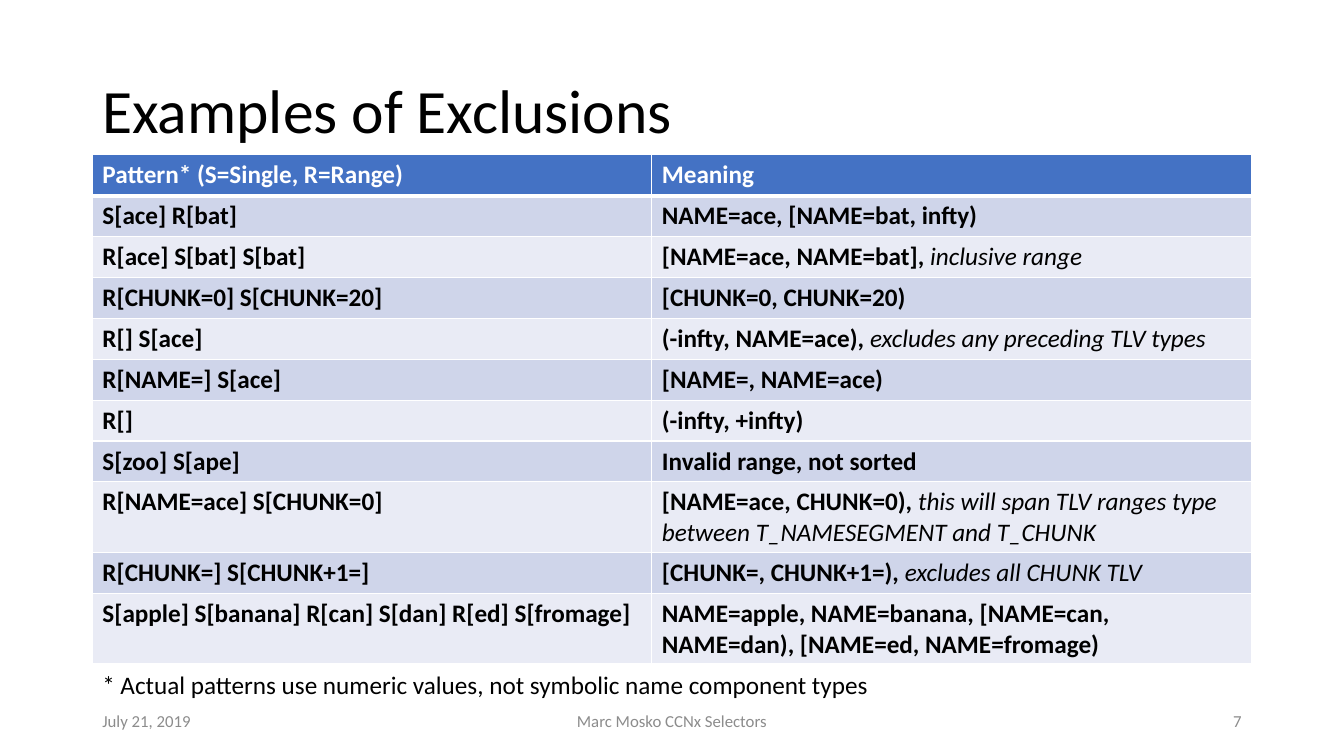
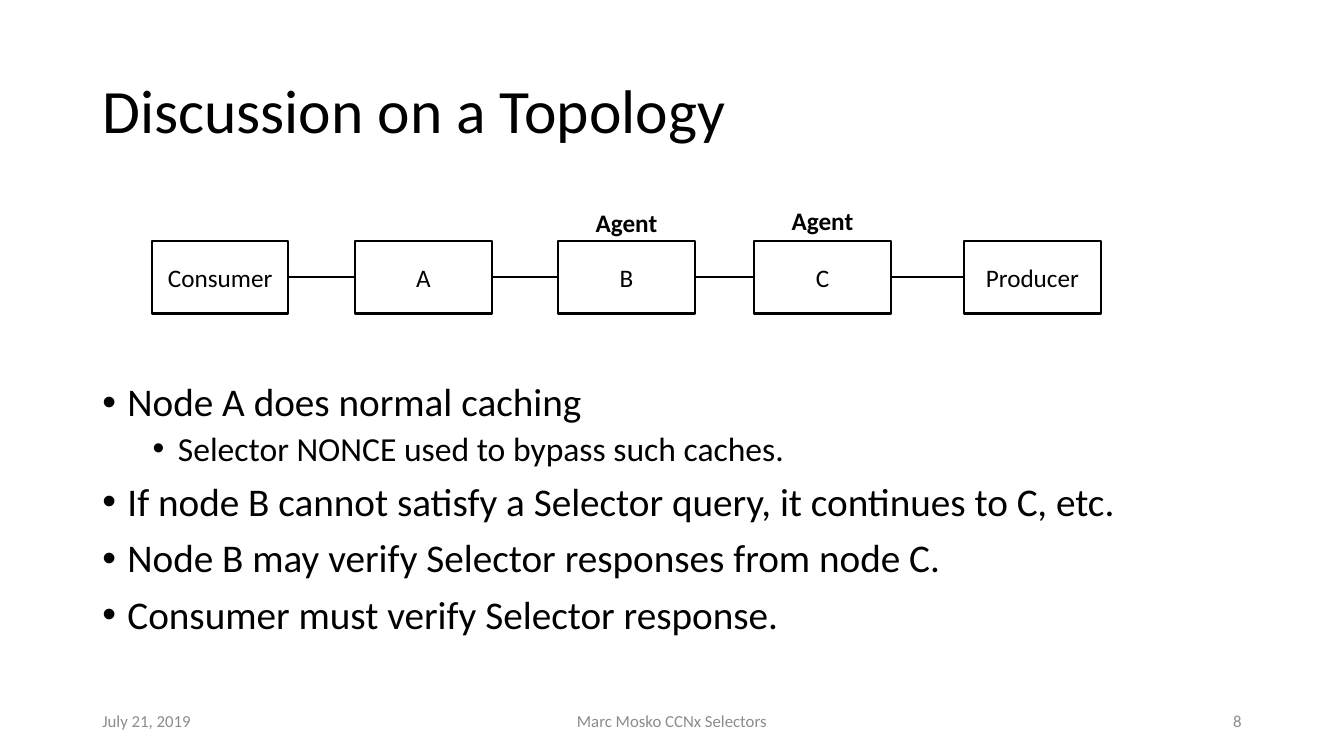
from dataclasses import dataclass

from lxml.etree import SubElement
from pptx import Presentation
from pptx.dml.color import RGBColor
from pptx.enum.shapes import MSO_CONNECTOR as Connector, MSO_SHAPE as Shape
from pptx.enum.text import MSO_ANCHOR as Anchor, PP_ALIGN as Align
from pptx.oxml.ns import qn
from pptx.util import Pt

COLORS = {
    "text": "000000",
    "footer": "8C8C8C",
    "header": "4472C4",
    "odd_row": "CFD5EA",
    "even_row": "E9EBF5",
    "white": "FFFFFF",
}
FONT = "Calibri"
AUTHOR = "Marc Mosko CCNx Selectors"
DATE = "July 21, 2019"

EXCLUSIONS = [
    ("Pattern* (S=Single, R=Range)", "Meaning", ""),
    ("S[ace] R[bat]", "NAME=ace, [NAME=bat, infty)", ""),
    ("R[ace] S[bat] S[bat]", "[NAME=ace, NAME=bat], ", "inclusive range"),
    ("R[CHUNK=0] S[CHUNK=20]", "[CHUNK=0, CHUNK=20)", ""),
    ("R[] S[ace]", "(-infty, NAME=ace), ", "excludes any preceding TLV types"),
    ("R[NAME=] S[ace]", "[NAME=, NAME=ace)", ""),
    ("R[]", "(-infty, +infty)", ""),
    ("S[zoo] S[ape]", "Invalid range, not sorted", ""),
    ("R[NAME=ace] S[CHUNK=0]", "[NAME=ace, CHUNK=0), ",
     "this will span TLV ranges type between T_NAMESEGMENT and T_CHUNK"),
    ("R[CHUNK=] S[CHUNK+1=]", "[CHUNK=, CHUNK+1=), ", "excludes all CHUNK TLV"),
    ("S[apple] S[banana] R[can] S[dan] R[ed] S[fromage]",
     "NAME=apple, NAME=banana, [NAME=can, NAME=dan), [NAME=ed, NAME=fromage)", ""),
]
TWO_LINE_ROWS = (8, 10)

NODES = [
    ("Consumer", 0, None),
    ("A", 145.2, None),
    ("B", 290.2, 27.4),
    ("C", 430.2, 28.8),
    ("Producer", 580.2, None),
]

POINTS = [
    (0, "Node A does normal caching"),
    (1, "Selector NONCE used to bypass such caches."),
    (0, "If node B cannot satisfy a Selector query, it continues to C, etc."),
    (0, "Node B may verify Selector responses from node C."),
    (0, "Consumer must verify Selector response."),
]


@dataclass
class Box:
    """A rectangle in points."""
    left: float
    top: float
    width: float
    height: float

    def lengths(self):
        """Return the four measures as lengths."""
        return [Pt(v) for v in (self.left, self.top, self.width, self.height)]


TITLE = Box(66, 28.8, 828, 104.4)
FOOTER = Box(66, 500.4, 828, 28.8)
TABLE = Box(66, 110.6, 828, 363.6)
FOOTNOTE = Box(66, 474.4, 564.5, 29)
TOPOLOGY = Box(108.6, 172, 677.6, 52)
BODY = Box(66, 270, 828, 196.6)


def rgb(name):
    """Look up a named colour."""
    return RGBColor.from_string(COLORS[name])


def style(run, size, color="text", bold=False, italic=False):
    """Set the font of a run."""
    font = run.font
    font.name, font.size, font.bold, font.italic = FONT, Pt(size), bold, italic
    font.color.rgb = rgb(color)


def write(frame, text, size, color="text", bold=False, align=Align.LEFT,
          anchor=Anchor.TOP, wrap=True):
    """Fill a text frame with one styled paragraph and return it."""
    frame.text = text
    frame.word_wrap = wrap
    frame.vertical_anchor = anchor
    paragraph = frame.paragraphs[0]
    paragraph.alignment = align
    style(paragraph.runs[0], size, color, bold)
    return paragraph


def add_text(slide, box, text, size, **options):
    """Add a text box holding one paragraph."""
    frame = slide.shapes.add_textbox(*box.lengths()).text_frame
    return write(frame, text, size, **options)


def add_footer(slide, box, number):
    """Place date, author and slide number along the footer."""
    side, middle = 216, 324
    center = box.left + (box.width - middle) / 2
    right = box.left + box.width - side
    for left, width, text, align in (
        (box.left, side, DATE, Align.LEFT),
        (center, middle, AUTHOR, Align.CENTER),
        (right, side, str(number), Align.RIGHT),
    ):
        add_text(slide, Box(left, box.top, width, box.height), text, 12,
                 color="footer", align=align, anchor=Anchor.MIDDLE)


def add_base_slide(deck, title, number):
    """Add a blank slide with title and footer."""
    slide = deck.slides.add_slide(deck.slide_layouts[6])
    heading = add_text(slide, TITLE, title, 44, anchor=Anchor.MIDDLE)
    heading.line_spacing = 0.9
    add_footer(slide, FOOTER, number)
    return slide


def add_borders(cell, top, bottom):
    """Draw white cell borders with the given top and bottom widths."""
    properties = cell._tc.get_or_add_tcPr()
    for side, width in (("L", 1), ("R", 1), ("T", top), ("B", bottom)):
        line = SubElement(properties, qn(f"a:ln{side}"), w=str(Pt(width)))
        fill = SubElement(line, qn("a:solidFill"))
        SubElement(fill, qn("a:srgbClr"), val=COLORS["white"])


def add_exclusions(slide, box):
    """Add the table of patterns and their meanings."""
    table = slide.shapes.add_table(len(EXCLUSIONS), 2, *box.lengths()).table
    pattern_width = 399.6
    table.columns[0].width = Pt(pattern_width)
    table.columns[1].width = Pt(box.width - pattern_width)
    for index, (pattern, meaning, remark) in enumerate(EXCLUSIONS):
        table.rows[index].height = Pt(50.4 if index in TWO_LINE_ROWS else 29.2)
        header = index == 0
        row_fill = "header" if header else "odd_row" if index % 2 else "even_row"
        for cell, text in zip(table.rows[index].cells, (pattern, meaning)):
            write(cell.text_frame, text, 18, "white" if header else "text", bold=True)
            add_borders(cell, 3 if index == 1 else 1, 3 if header else 1)
            cell.fill.solid()
            cell.fill.fore_color.rgb = rgb(row_fill)
        if remark:
            run = table.cell(index, 1).text_frame.paragraphs[0].add_run()
            run.text = remark
            style(run, 18, italic=True)


def add_node(slide, box, label):
    """Add one outlined node of the topology."""
    node = slide.shapes.add_shape(Shape.RECTANGLE, *box.lengths())
    node.shadow.inherit = False
    node.fill.background()
    node.line.color.rgb = rgb("text")
    node.line.width = Pt(1.5)
    write(node.text_frame, label, 18, align=Align.CENTER, anchor=Anchor.MIDDLE)
    return node


def add_link(slide, start, end):
    """Join the right side of one node to the left side of the next."""
    link = slide.shapes.add_connector(Connector.STRAIGHT, 0, 0, 0, 0)
    link.begin_connect(start, 3)
    link.end_connect(end, 1)
    link.line.color.rgb = rgb("text")
    link.line.width = Pt(1.5)
    SubElement(link._element.spPr, qn("a:effectLst"))


def add_topology(slide, box):
    """Draw the chain of nodes with agent labels above."""
    node_width = 97.4
    nodes = []
    for label, offset, agent_rise in NODES:
        left = box.left + offset
        nodes.append(add_node(slide, Box(left, box.top, node_width, box.height), label))
        if agent_rise:
            add_text(slide, Box(left, box.top - agent_rise, node_width, 29),
                     "Agent", 18, bold=True, align=Align.CENTER)
    for start, end in zip(nodes, nodes[1:]):
        add_link(slide, start, end)


def add_points(slide, box):
    """Add the bulleted discussion."""
    frame = slide.shapes.add_textbox(*box.lengths()).text_frame
    frame.word_wrap = True
    for index, (level, text) in enumerate(POINTS):
        paragraph = frame.add_paragraph() if index else frame.paragraphs[0]
        paragraph.text = text
        paragraph.level = level
        paragraph.line_spacing = 0.9
        paragraph.space_before = Pt(5 if level else 10)
        style(paragraph.runs[0], 24 if level else 28)
        properties = paragraph._p.get_or_add_pPr()
        properties.set("marL", str(Pt(18 + 36 * level)))
        properties.set("indent", str(Pt(-18)))
        SubElement(properties, qn("a:buFont"), typeface="Arial")
        SubElement(properties, qn("a:buChar"), char="•")


def build_exclusions_slide(deck):
    """Build the slide with the exclusion table."""
    slide = add_base_slide(deck, "Examples of Exclusions", 7)
    add_exclusions(slide, TABLE)
    add_text(slide, FOOTNOTE,
             "* Actual patterns use numeric values, not symbolic name component types",
             18, wrap=False)


def build_topology_slide(deck):
    """Build the slide with the node chain and its discussion."""
    slide = add_base_slide(deck, "Discussion on a Topology", 8)
    add_topology(slide, TOPOLOGY)
    add_points(slide, BODY)


def main():
    """Build and save the deck."""
    deck = Presentation()
    deck.slide_width, deck.slide_height = Pt(960), Pt(540)
    build_exclusions_slide(deck)
    build_topology_slide(deck)
    deck.save("out.pptx")


if __name__ == "__main__":
    main()
